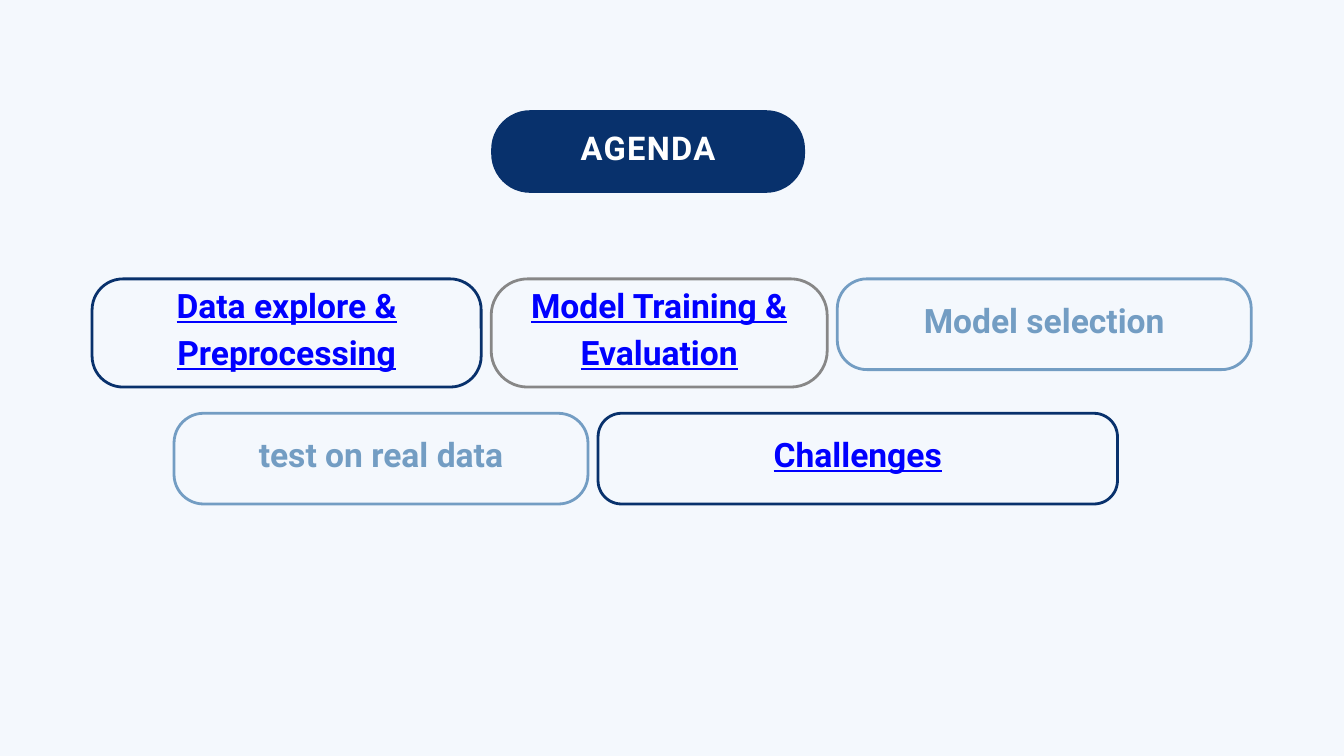
import pptx
import pptx.util
import pptx.dml.color
import pptx.enum.shapes
import pptx.enum.text
from dataclasses import dataclass

Inches = pptx.util.Inches
Pt = pptx.util.Pt


@dataclass(frozen=True)
class Theme:
    back: str = "F4F8FD"
    navy: str = "08316C"
    grey: str = "878787"
    sky: str = "739DC3"
    link: str = "0000FF"
    white: str = "FFFFFF"
    font: str = "Roboto"
    head: float = 35
    body: float = 36
    lead: float = 1.4
    edge: float = 3


THEME = Theme()
GAP = 0.15
RISE = 0.23  # the text area starts this far above its pill

# Each row: left, top, then (text, width, height, radius, line, ink, underline)
ROWS = [
    (1.37, 4.15, [
        ("Data explore & Preprocessing", 5.79, 1.61, 0.46,
         THEME.navy, THEME.link, True),
        ("Model Training & Evaluation", 5, 1.61, 0.54,
         THEME.grey, THEME.link, True),
        ("Model selection", 6.16, 1.35, 0.44, THEME.sky, THEME.sky, False),
    ]),
    (2.59, 6.15, [
        ("test on real data", 6.16, 1.35, 0.44, THEME.sky, THEME.sky, False),
        ("Challenges", 7.73, 1.35, 0.35, THEME.navy, THEME.link, True),
    ]),
]


def tint(code):
    return pptx.dml.color.RGBColor.from_string(code)


def apply(item, values):
    for name, value in values.items():
        setattr(item, name, value)


def draw_pill(shapes, box, radius, fill=None, line=None):
    pill = shapes.add_shape(
        pptx.enum.shapes.MSO_SHAPE.ROUNDED_RECTANGLE, *map(Inches, box))
    pill.adjustments[0] = radius / min(box[2:])
    pill.shadow.inherit = False
    if fill:
        pill.fill.solid()
        pill.fill.fore_color.rgb = tint(fill)
    else:
        pill.fill.background()
    if line:
        pill.line.color.rgb = tint(line)
        pill.line.width = Pt(THEME.edge)
    else:
        pill.line.fill.background()


def draw_text(shapes, box, text, size, ink, under=False, space=0):
    left, top, width, height = box
    area = shapes.add_textbox(
        *map(Inches, (left, top - RISE, width, height + RISE)))
    frame = area.text_frame
    sides = ("left", "top", "right", "bottom")
    apply(frame, {f"margin_{side}": Inches(0.06) for side in sides})
    apply(frame, {"word_wrap": True,
                  "vertical_anchor": pptx.enum.text.MSO_ANCHOR.MIDDLE})
    line = frame.paragraphs[0]
    apply(line, {"alignment": pptx.enum.text.PP_ALIGN.CENTER,
                 "line_spacing": Pt(size * THEME.lead)})
    run = line.add_run()
    run.text = text
    apply(run.font, {"name": THEME.font, "size": Pt(size), "bold": True,
                     "underline": under or None})
    run.font.color.rgb = tint(ink)
    if space:
        run._r.get_or_add_rPr().set("spc", str(round(space * 100)))


def draw_head(slide):
    shapes = slide.shapes.add_group_shape().shapes
    box = (7.31, 1.64, 4.67, 1.23)
    draw_pill(shapes, box, 0.58, fill=THEME.navy)
    draw_text(shapes, box, "AGENDA", THEME.head, THEME.white, space=1.4)


def draw_row(slide, left, top, items):
    """Lay the pills side by side with equal gaps."""
    for text, width, height, radius, line, ink, under in items:
        shapes = slide.shapes.add_group_shape().shapes
        box = (left, top, width, height)
        draw_pill(shapes, box, radius, line=line)
        draw_text(shapes, box, text, THEME.body, ink, under)
        left += width + GAP


def main():
    deck = pptx.Presentation()
    apply(deck, {"slide_width": Inches(20), "slide_height": Inches(11.25)})
    slide = deck.slides.add_slide(deck.slide_layouts[6])
    slide.background.fill.solid()
    slide.background.fill.fore_color.rgb = tint(THEME.back)
    draw_head(slide)
    for row in ROWS:
        draw_row(slide, *row)
    deck.save("out.pptx")


if __name__ == "__main__":
    main()
